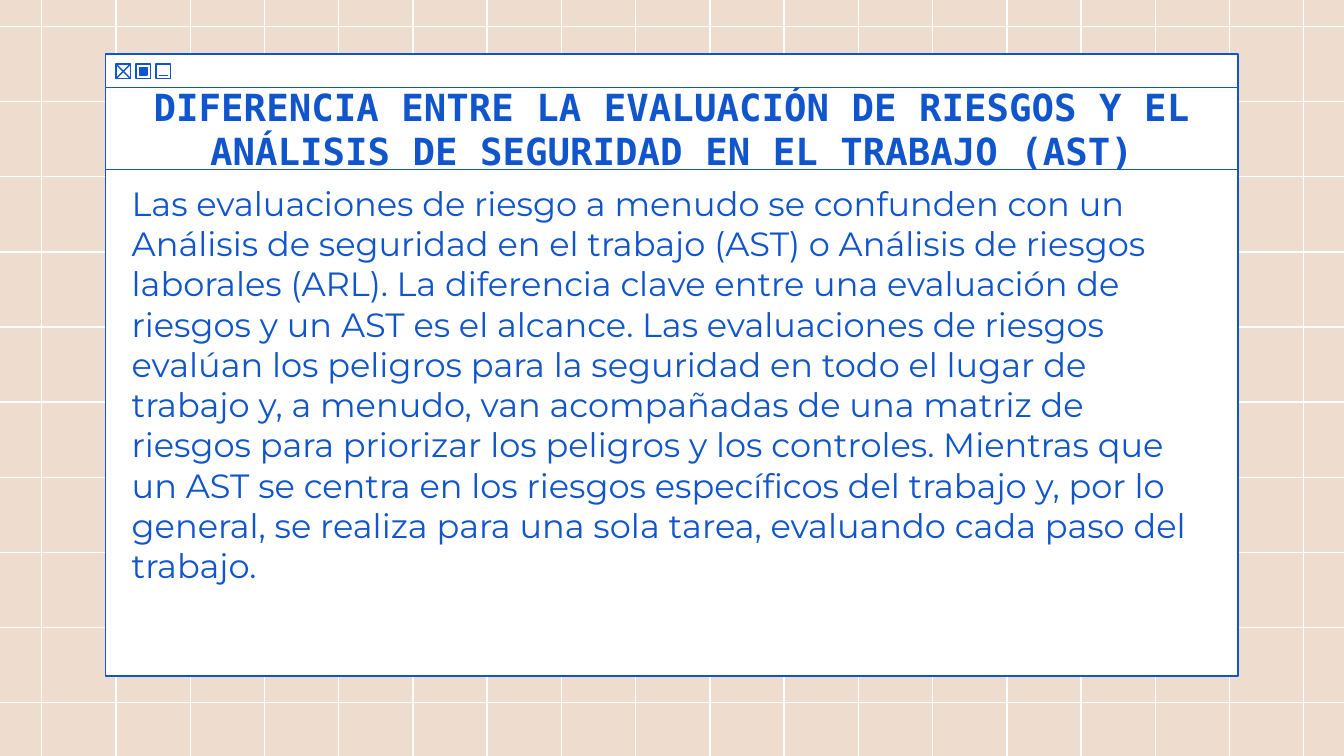
from dataclasses import dataclass

from pptx import Presentation
from pptx.dml.color import RGBColor
from pptx.enum.shapes import MSO_CONNECTOR, MSO_SHAPE
from pptx.enum.text import MSO_ANCHOR, PP_ALIGN
from pptx.oxml.ns import qn
from pptx.shapes.autoshape import Shape
from pptx.slide import Slide
from pptx.util import Cm, Pt

RECTANGLE = MSO_SHAPE.RECTANGLE
STRAIGHT = MSO_CONNECTOR.STRAIGHT
TOP, MIDDLE = MSO_ANCHOR.TOP, MSO_ANCHOR.MIDDLE
LEFT, CENTER = PP_ALIGN.LEFT, PP_ALIGN.CENTER

BLUE, WHITE, SAND = "1155CC", "FFFFFF", "EEDCCE"
LINE_WIDTH = 0.75
SLIDE_WIDTH, SLIDE_HEIGHT = 25.4, 14.29
WINDOW_LEFT, WINDOW_WIDTH = 1.99, 21.41
BUTTON_LEFT, BUTTON_TOP, BUTTON_SIZE, BUTTON_STEP = 2.19, 1.21, 0.28, 0.38

TITLE = "DIFERENCIA ENTRE LA EVALUACIÓN DE RIESGOS Y EL ANÁLISIS DE SEGURIDAD EN EL TRABAJO (AST)"
BODY = (
    "Las evaluaciones de riesgo a menudo se confunden con un Análisis de seguridad en el "
    "trabajo (AST) o Análisis de riesgos laborales (ARL). La diferencia clave entre una "
    "evaluación de riesgos y un AST es el alcance. Las evaluaciones de riesgos evalúan los "
    "peligros para la seguridad en todo el lugar de trabajo y, a menudo, van acompañadas de "
    "una matriz de riesgos para priorizar los peligros y los controles. Mientras que un AST "
    "se centra en los riesgos específicos del trabajo y, por lo general, se realiza para una "
    "sola tarea, evaluando cada paso del trabajo."
)


@dataclass
class Box:
    left: float
    top: float
    width: float
    height: float


@dataclass
class Stroke:
    x1: float
    y1: float
    x2: float
    y2: float


@dataclass
class Button:
    strokes: tuple[Stroke, ...] = ()
    inner: Box | None = None


BUTTONS = (
    Button(strokes=(
        Stroke(0, 0, BUTTON_SIZE, BUTTON_SIZE),
        Stroke(BUTTON_SIZE, 0, 0, BUTTON_SIZE),
    )),
    Button(inner=Box(0.07, 0.07, 0.14, 0.14)),
    Button(strokes=(Stroke(0.05, 0.22, 0.23, 0.22),)),
)


def color(code: str) -> RGBColor:
    return RGBColor.from_string(code)


def spread(first: float, last: float, count: int) -> list[float]:
    step = (last - first) / (count - 1)
    return [first + step * index for index in range(count)]


def draw_box(page: Slide, box: Box, fill: str | None = None) -> Shape:
    shape = page.shapes.add_shape(
        RECTANGLE, Cm(box.left), Cm(box.top), Cm(box.width), Cm(box.height)
    )
    shape.shadow.inherit = False
    if fill:
        shape.fill.solid()
        shape.fill.fore_color.rgb = color(fill)
    else:
        shape.fill.background()
    shape.line.color.rgb = color(BLUE)
    shape.line.width = Pt(LINE_WIDTH)
    return shape


def draw_stroke(page: Slide, stroke: Stroke, code: str,
                left: float = 0, top: float = 0) -> None:
    line = page.shapes.add_connector(
        STRAIGHT, Cm(left + stroke.x1), Cm(top + stroke.y1),
        Cm(left + stroke.x2), Cm(top + stroke.y2),
    )
    line.line.color.rgb = color(code)
    line.line.width = Pt(LINE_WIDTH)
    properties = line.element.find(qn("p:spPr"))
    properties.append(properties.makeelement(qn("a:effectLst"), {}))


def write(shape: Shape, text: str, *, font: str, size: float, bold: bool = False,
          align: PP_ALIGN = LEFT, anchor: MSO_ANCHOR = TOP,
          inset_left: float = 0.25, inset_right: float = 0.25) -> None:
    frame = shape.text_frame
    frame.word_wrap = True
    frame.vertical_anchor = anchor
    frame.margin_left, frame.margin_right = Cm(inset_left), Cm(inset_right)
    frame.margin_top = frame.margin_bottom = Cm(0.25)
    para = frame.paragraphs[0]
    para.alignment = align
    span = para.add_run()
    span.text = text
    span.font.name = font
    span.font.size = Pt(size)
    span.font.bold = bold
    span.font.color.rgb = color(BLUE)


def draw_grid(page: Slide) -> None:
    for x in spread(0.79, 24.64, 18):
        draw_stroke(page, Stroke(x, 0, x, SLIDE_HEIGHT), WHITE)
    for y in spread(0.5, 13.28, 10):
        draw_stroke(page, Stroke(0, y, SLIDE_WIDTH, y), WHITE)


def draw_button(page: Slide, button: Button, left: float, top: float) -> None:
    draw_box(page, Box(left, top, BUTTON_SIZE, BUTTON_SIZE))
    for stroke in button.strokes:
        draw_stroke(page, stroke, BLUE, left, top)
    if button.inner:
        inner = button.inner
        draw_box(page, Box(left + inner.left, top + inner.top, inner.width, inner.height), BLUE)


def draw_window(page: Slide) -> None:
    title = draw_box(page, Box(WINDOW_LEFT, 1.66, WINDOW_WIDTH, 1.54), WHITE)
    write(title, TITLE, font="DejaVu Sans Mono", size=20, bold=True,
          align=CENTER, anchor=MIDDLE)
    body = draw_box(page, Box(WINDOW_LEFT, 3.2, WINDOW_WIDTH, 9.58), WHITE)
    write(body, BODY, font="Montserrat", size=18, inset_left=0.5, inset_right=0.75)
    draw_box(page, Box(WINDOW_LEFT, 1.02, WINDOW_WIDTH, 0.64), WHITE)
    for index, button in enumerate(BUTTONS):
        draw_button(page, button, BUTTON_LEFT + index * BUTTON_STEP, BUTTON_TOP)


def main() -> None:
    deck = Presentation()
    deck.slide_width, deck.slide_height = Cm(SLIDE_WIDTH), Cm(SLIDE_HEIGHT)
    page = deck.slides.add_slide(deck.slide_layouts[6])
    page.background.fill.solid()
    page.background.fill.fore_color.rgb = color(SAND)
    draw_grid(page)
    draw_window(page)
    deck.save("out.pptx")


if __name__ == "__main__":
    main()
